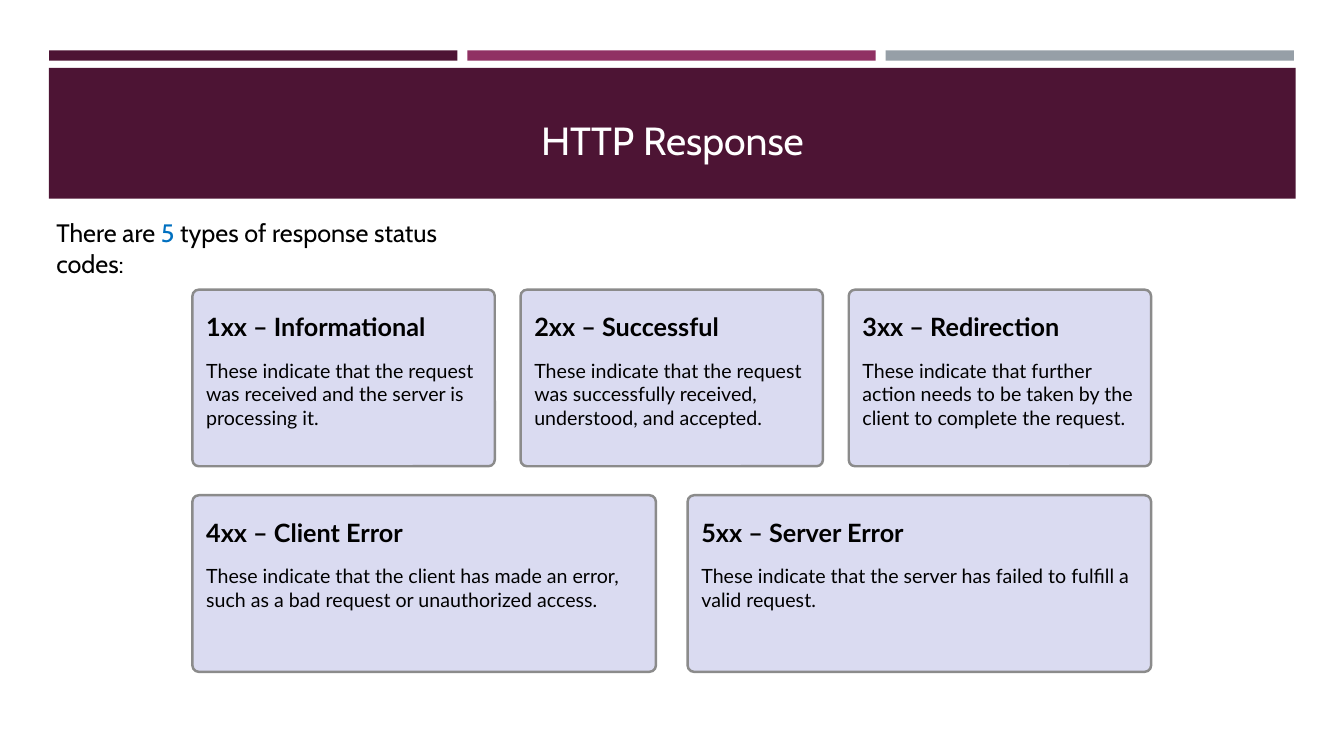
from pptx import Presentation
from pptx import util as u
from pptx.dml.color import RGBColor
from pptx.enum import shapes, text

PLUM = RGBColor(0x4D, 0x14, 0x34)
MAGENTA = RGBColor(0x90, 0x31, 0x63)
SLATE = RGBColor(0x96, 0x9F, 0xA7)
LAVENDER = RGBColor(0xDA, 0xDB, 0xF1)
GRAY = RGBColor(0x8B, 0x8B, 0x8B)
BLUE = RGBColor(0x00, 0x70, 0xC0)
BLACK = RGBColor(0, 0, 0)
WHITE = RGBColor(0xFF, 0xFF, 0xFF)


def add_text(para, wording, size=18, font="Cabin", color=BLACK, bold=False,
             align=text.PP_ALIGN.LEFT):
    para.alignment = align
    span = para.add_run()
    span.text = wording
    span.font.size = u.Pt(size)
    span.font.name = font
    span.font.bold = bold
    span.font.color.rgb = color


def add_block(page, kind, left, top, width, height, fill):
    block = page.shapes.add_shape(kind, u.Cm(left), u.Cm(top), u.Cm(width), u.Cm(height))
    block.shadow.inherit = False
    block.fill.solid()
    block.fill.fore_color.rgb = fill
    block.line.fill.background()
    return block


deck = Presentation()
deck.slide_width = u.Cm(33.87)
deck.slide_height = u.Cm(19.05)
page = deck.slides.add_slide(deck.slide_layouts[6])

RECTANGLE = shapes.MSO_SHAPE.RECTANGLE
for column, color in enumerate([PLUM, MAGENTA, SLATE]):
    add_block(page, RECTANGLE, 1.24 + 10.54 * column, 1.27, 10.29, 0.26, color)
add_block(page, RECTANGLE, 1.23, 1.71, 31.42, 3.3, PLUM)

title = page.shapes.add_textbox(u.Cm(1.63), u.Cm(2.77), u.Cm(30.63), u.Cm(1.47))
title.text_frame.word_wrap = True
title.text_frame.vertical_anchor = text.MSO_ANCHOR.BOTTOM
add_text(title.text_frame.paragraphs[0], "HTTP Response", size=28, color=WHITE,
         align=text.PP_ALIGN.CENTER)

intro = page.shapes.add_textbox(u.Cm(1.17), u.Cm(5.36), u.Cm(11.6), u.Cm(1.02))
intro.text_frame.word_wrap = True
intro_para = intro.text_frame.paragraphs[0]
add_text(intro_para, "There are ")
add_text(intro_para, "5", color=BLUE)
add_text(intro_para, " types of response status codes:")

CARD_HEIGHT = 4.45
rows = [
    (7.3, 7.62, 8.27, [
        ("1xx – Informational",
         "These indicate that the request was received and the server is processing it."),
        ("2xx – Successful",
         "These indicate that the request was successfully received, understood, and accepted."),
        ("3xx – Redirection",
         "These indicate that further action needs to be taken by the client to complete "
         "the request."),
    ]),
    (12.48, 11.68, 12.48, [
        ("4xx – Client Error",
         "These indicate that the client has made an error, such as a bad request or "
         "unauthorized access."),
        ("5xx – Server Error",
         "These indicate that the server has failed to fulfill a valid request."),
    ]),
]
for top, width, pitch, cards in rows:
    for column, (heading, meaning) in enumerate(cards):
        card = add_block(page, shapes.MSO_SHAPE.ROUNDED_RECTANGLE,
                         4.85 + pitch * column, top, width, CARD_HEIGHT, LAVENDER)
        card.adjustments[0] = 0.036
        card.line.color.rgb = GRAY
        card.line.width = u.Pt(1.75)
        frame = card.text_frame
        frame.word_wrap = True
        frame.vertical_anchor = text.MSO_ANCHOR.TOP
        frame.margin_left = frame.margin_right = u.Cm(0.3)
        frame.margin_top = u.Cm(0.51)
        frame.margin_bottom = u.Cm(0.13)
        heading_para = frame.paragraphs[0]
        heading_para.space_after = u.Pt(12)
        add_text(heading_para, heading, font="Lato", bold=True)
        add_text(frame.add_paragraph(), meaning, size=14, font="Lato")

deck.save("out.pptx")
